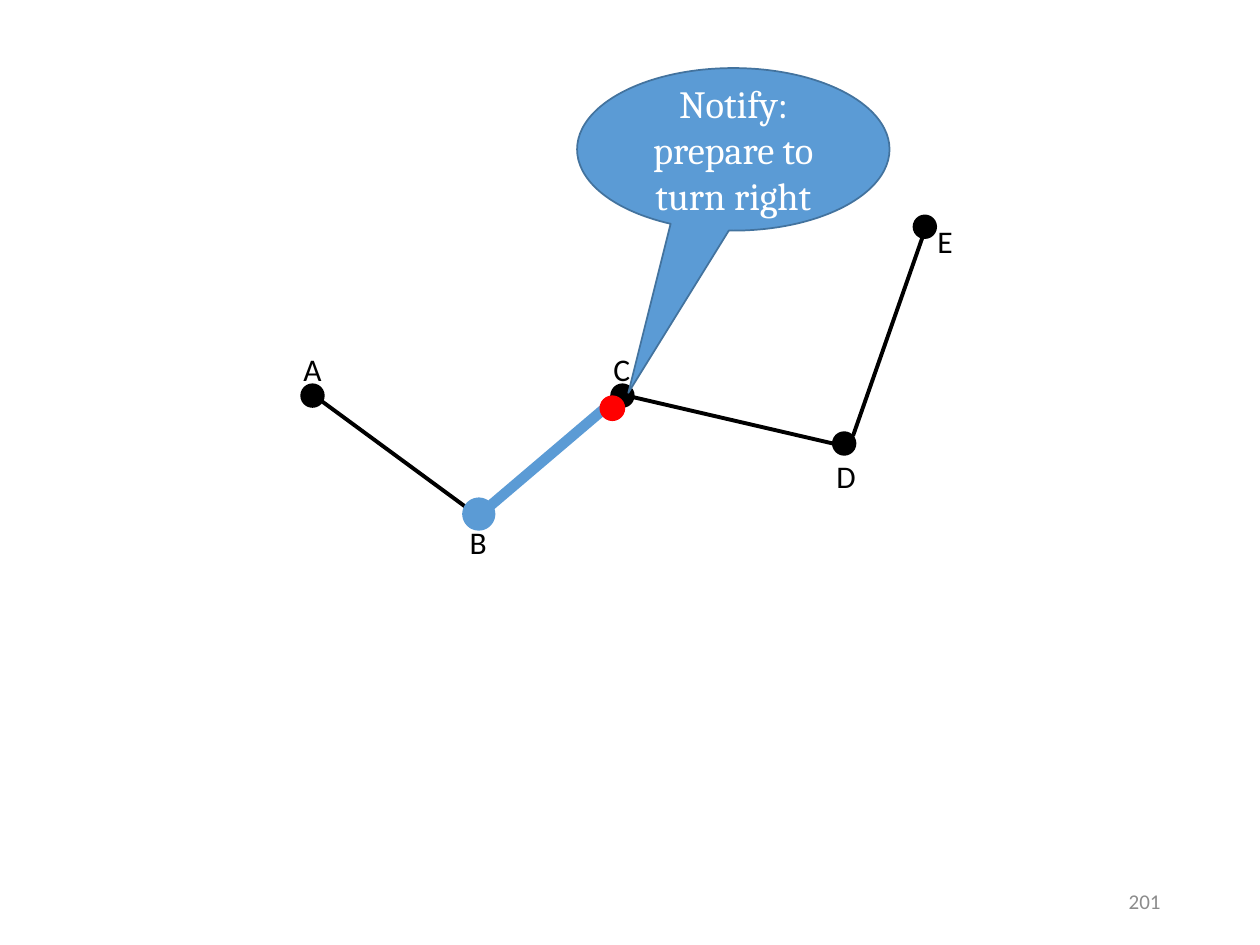
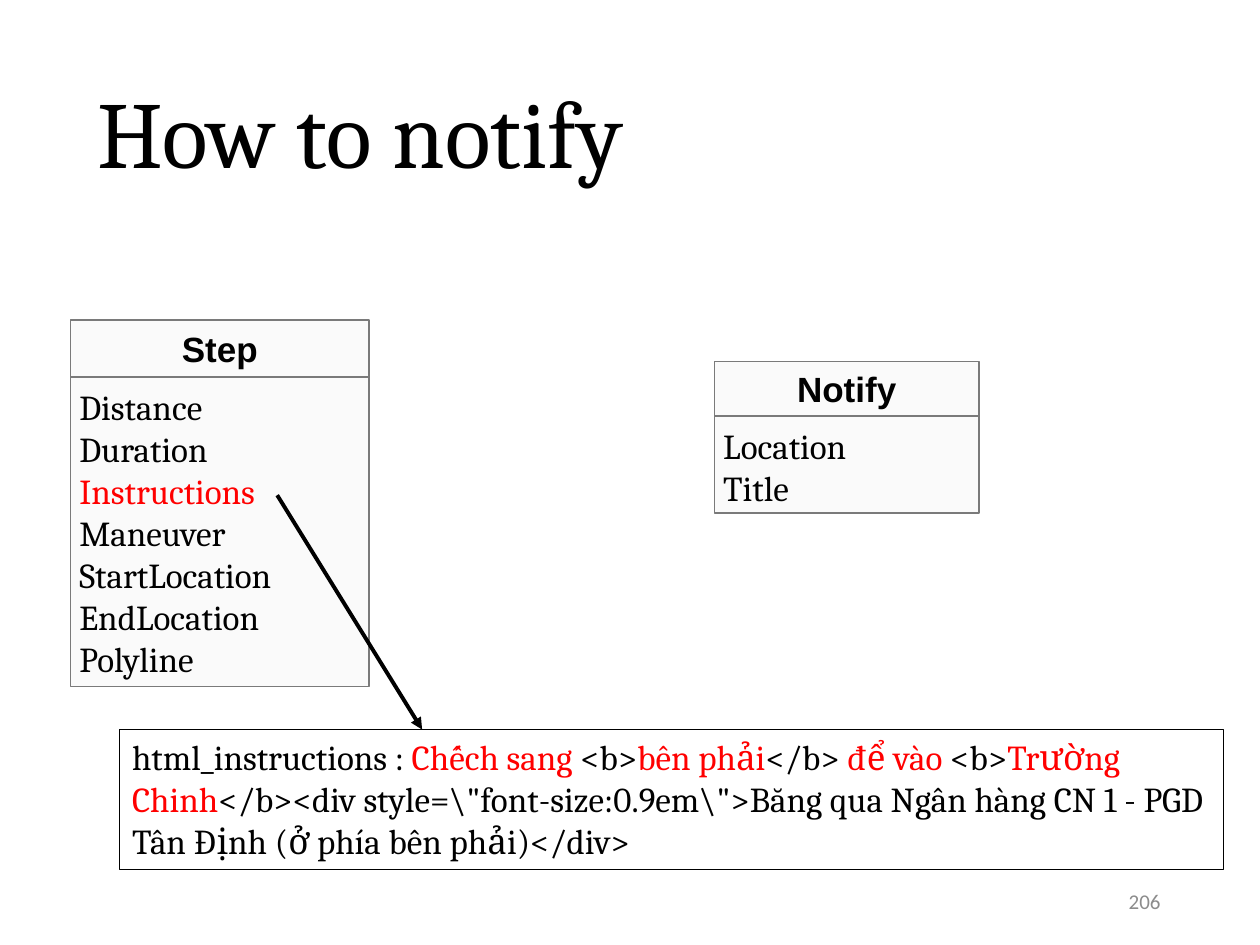
from dataclasses import dataclass

from lxml import etree
from pptx import Presentation
from pptx.dml.color import RGBColor
from pptx.enum.shapes import MSO_CONNECTOR, MSO_SHAPE
from pptx.enum.text import MSO_ANCHOR, MSO_AUTO_SIZE, PP_ALIGN
from pptx.oxml.ns import qn
from pptx.util import Inches, Pt

STRAIGHT = MSO_CONNECTOR.STRAIGHT
RECTANGLE, ELLIPSE = MSO_SHAPE.RECTANGLE, MSO_SHAPE.OVAL
CALLOUT = MSO_SHAPE.OVAL_CALLOUT
TOP, MIDDLE = MSO_ANCHOR.TOP, MSO_ANCHOR.MIDDLE
LEFT, CENTER, RIGHT = PP_ALIGN.LEFT, PP_ALIGN.CENTER, PP_ALIGN.RIGHT
FIT_SHAPE, NO_FIT = MSO_AUTO_SIZE.SHAPE_TO_FIT_TEXT, MSO_AUTO_SIZE.NONE
TITLE_ONLY, BLANK = 5, 6


@dataclass(frozen=True)
class Theme:
    black: str = "000000"
    white: str = "FFFFFF"
    blue: str = "5B9BD5"
    blue_edge: str = "43739E"
    red: str = "FF0000"
    card: str = "FAFAFA"
    card_edge: str = "7A7A7A"
    muted: str = "8C8C8C"
    serif: str = "Cambria"
    sans: str = "Calibri"
    heading: str = "Arial"
    title_size: int = 54
    callout_size: int = 22
    body_size: int = 20
    label_size: int = 18
    number_size: int = 12
    thin: float = 0.75
    edge: float = 1
    stroke: float = 2.25
    thick: float = 6


THEME = Theme()


# Shared helpers
def rgb(color):
    return RGBColor.from_string(color)


def place(box):
    return [Inches(length) for length in box]


def write(frame, paragraphs, size, font, align=LEFT, anchor=TOP, bold=False, inset=None):
    """Fill a frame; each paragraph is a list of (text, color) runs."""
    frame.word_wrap = True
    frame.vertical_anchor = anchor
    if inset is not None:
        frame.margin_left = frame.margin_right = Inches(inset)
        frame.margin_top = frame.margin_bottom = Inches(inset)
    for index, runs in enumerate(paragraphs):
        paragraph = frame.paragraphs[0] if index == 0 else frame.add_paragraph()
        paragraph.alignment = align
        for text, color in runs:
            run = paragraph.add_run()
            run.text = text
            run.font.size = Pt(size)
            run.font.name = font
            run.font.bold = bold
            run.font.color.rgb = rgb(color)


def add_panel(shapes, preset, box, fill, edge, weight=THEME.edge):
    panel = shapes.add_shape(preset, *place(box))
    panel.shadow.inherit = False
    if fill:
        panel.fill.solid()
        panel.fill.fore_color.rgb = rgb(fill)
    else:
        panel.fill.background()
    panel.line.color.rgb = rgb(edge)
    panel.line.width = Pt(weight)
    return panel


def add_line(shapes, start, end, color=THEME.black, weight=THEME.stroke, arrow=False):
    line = shapes.add_connector(STRAIGHT, *place((*start, *end)))
    line.line.color.rgb = rgb(color)
    line.line.width = Pt(weight)
    if arrow:
        etree.SubElement(line.line._get_or_add_ln(), qn("a:tailEnd"), type="triangle")
    etree.SubElement(line._element.spPr, qn("a:effectLst"))


def add_page_number(slide, number):
    box = slide.shapes.add_textbox(*place((7.06, 6.95, 2.25, 0.4)))
    write(box.text_frame, [[(number, THEME.muted)]], THEME.number_size, THEME.sans,
          RIGHT, MIDDLE)


# Route map
def add_route(slide, left, top):
    def at(x, y):
        return left + x, top + y

    def add_dot(x, y, color, diameter=0.18, weight=THEME.edge):
        corner = at(x - diameter / 2, y - diameter / 2)
        add_panel(slide.shapes, ELLIPSE, (*corner, diameter, diameter), color, color, weight)

    # Legs between the stops
    current_leg = ((1.48, 2.39), (2.62, 1.42))
    other_legs = [
        ((0.17, 1.42), (1.49, 2.39)),
        ((2.62, 1.42), (4.3, 1.81)),
        ((4.46, 1.75), (5.03, 0.12)),
    ]
    add_line(slide.shapes, at(*current_leg[0]), at(*current_leg[1]), THEME.blue, THEME.thick)
    for start, end in other_legs:
        add_line(slide.shapes, at(*start), at(*end))

    # Stops: centre of the dot, then left, top and width of the label
    stops = {
        "A": ((0.17, 1.43), (0, 1.02, 0.35)),
        "B": ((1.49, 2.37), (1.32, 2.39, 0.34)),
        "C": ((2.63, 1.43), (2.46, 1.02, 0.34)),
        "D": ((4.39, 1.81), (4.23, 1.87, 0.36)),
        "E": ((5.03, 0.09), (5.03, 0, 0.32)),
    }
    for stop, (centre, (x, y, width)) in stops.items():
        if stop == "B":
            add_dot(*centre, THEME.blue, weight=THEME.thick)
        else:
            add_dot(*centre, THEME.black)
        label = slide.shapes.add_textbox(*place((*at(x, y), width, 0.4)))
        write(label.text_frame, [[(stop, THEME.black)]], THEME.label_size, THEME.sans)
        label.text_frame.word_wrap = False
        label.text_frame.auto_size = FIT_SHAPE

    # Notification at the current position
    callout = add_panel(slide.shapes, CALLOUT, (*at(2.27, -1.17), 2.48, 1.29),
                        THEME.blue, THEME.blue_edge)
    callout.adjustments[0], callout.adjustments[1] = -0.336, 1.498
    write(callout.text_frame, [[("Notify: prepare to turn right", THEME.white)]],
          THEME.callout_size, THEME.serif, CENTER, MIDDLE)
    add_dot(2.55, 1.53, THEME.red, 0.19)


# Class card: heading above a list of fields
def add_class_card(slide, box, heading, heading_height, fields, highlighted=()):
    left, top, width, height = box
    group = slide.shapes.add_group_shape()
    field_box = (left, top + heading_height, width, height - heading_height)
    field_panel = add_panel(group.shapes, RECTANGLE, field_box, THEME.card, THEME.card_edge)
    rows = [[(field, THEME.red if field in highlighted else THEME.black)] for field in fields]
    write(field_panel.text_frame, rows, THEME.body_size, THEME.serif, inset=0.07)
    heading_panel = add_panel(group.shapes, RECTANGLE, (left, top, width, heading_height),
                              THEME.card, THEME.card_edge)
    write(heading_panel.text_frame, [[(heading, THEME.black)]], THEME.body_size,
          THEME.heading, CENTER, MIDDLE, bold=True, inset=0.07)


# Sample value of the Instructions field
def add_instruction_sample(slide, box):
    sample = add_panel(slide.shapes, RECTANGLE, box, None, THEME.black, THEME.thin)
    runs = [
        ("html_instructions : ", THEME.black),
        ("Chếch sang ", THEME.red),
        ("<b>", THEME.black),
        ("bên phải", THEME.red),
        ("</b> ", THEME.black),
        ("để vào", THEME.red),
        (" <b>", THEME.black),
        ("Trường Chinh", THEME.red),
        ('</b><div style=\\"font-size:0.9em\\">Băng qua Ngân hàng CN 1 - PGD Tân Định '
         "(ở phía bên phải)</div>", THEME.black),
    ]
    write(sample.text_frame, [runs], THEME.body_size, THEME.serif)
    sample.text_frame.auto_size = FIT_SHAPE


def add_title(slide, text):
    title = slide.shapes.title
    title.left, title.top, title.width, title.height = place((0.67, 0.47, 9, 1.25))
    write(title.text_frame, [[(text, THEME.black)]], THEME.title_size, THEME.serif,
          LEFT, MIDDLE)
    title.text_frame.auto_size = NO_FIT
    title.text_frame.paragraphs[0].line_spacing = 0.9


# Slides
def build_route_slide(deck):
    slide = deck.slides.add_slide(deck.slide_layouts[BLANK])
    add_route(slide, 2.31, 1.71)
    add_page_number(slide, "201")


def build_notify_slide(deck):
    slide = deck.slides.add_slide(deck.slide_layouts[TITLE_ONLY])
    add_title(slide, "How to notify")
    step_fields = ["Distance", "Duration", "Instructions", "Maneuver",
                   "StartLocation", "EndLocation", "Polyline"]
    add_class_card(slide, (0.56, 2.54, 2.37, 2.91), "Step", 0.45, step_fields,
                   highlighted=("Instructions",))
    add_class_card(slide, (5.67, 2.87, 2.1, 1.2), "Notify", 0.43, ["Location", "Title"])
    add_line(slide.shapes, (2.2, 3.93), (3.35, 5.79), arrow=True)
    add_instruction_sample(slide, (0.95, 5.79, 8.76, 1.11))
    add_page_number(slide, "206")


def main():
    deck = Presentation()
    deck.slide_width, deck.slide_height = Inches(10), Inches(7.5)
    build_route_slide(deck)
    build_notify_slide(deck)
    deck.save("out.pptx")


if __name__ == "__main__":
    main()
